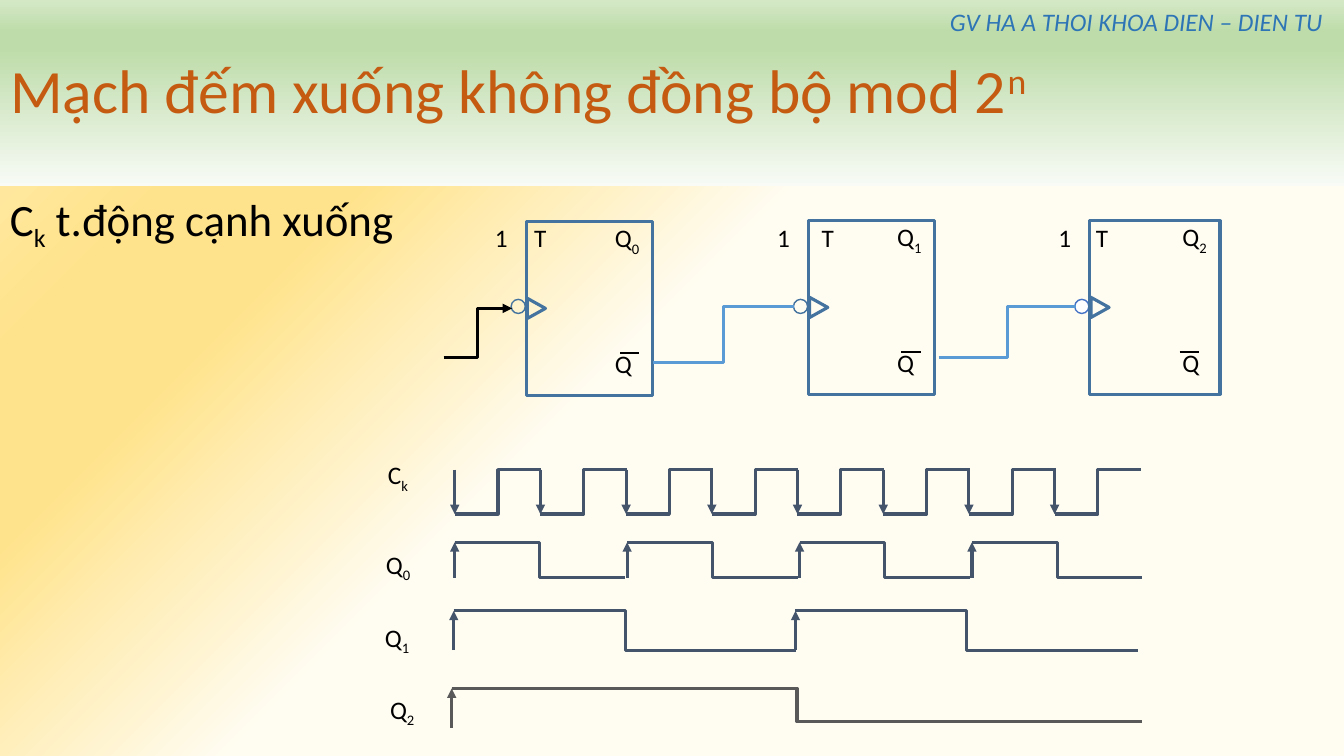
from pptx import Presentation
from pptx.dml.color import RGBColor
from pptx.enum.shapes import MSO_CONNECTOR, MSO_SHAPE
from pptx.enum.text import MSO_ANCHOR, PP_ALIGN
from pptx.oxml import parse_xml
from pptx.oxml.ns import nsdecls, qn
from pptx.util import Cm, Pt
from lxml.etree import SubElement

# Content: text parts are (text, baseline shift in percent)
HEADING = [("Mạch đếm xuống không đồng bộ mod 2", 0), ("n", 30)]
TRIGGER = [("C", 0), ("k", -25), (" t.động cạnh xuống", 0)]
AUTHOR = [("GV HA A THOI KHOA DIEN – DIEN TU", 0)]

BLACK, STEEL, SKY, SLATE, GREY = "000000", "43739E", "5B9BD5", "44546A", "595959"
TITLE_STOPS = [(0, "F8FBF6"), (74, "BEDCAA"), (83, "BEDCAA"), (100, "D4E8C6")]
PAGE_STOPS = [(53, "FFFCF2"), (74, "FFE38C"), (83, "FFE38C"), (100, "FFECB2")]

# Flip-flops: left, top, width, T label left, overbar left, bubble line, bubble fill
FLIP_FLOPS = [
    (5.22, 2.20, 1.25, 5.20, 6.15, STEEL, None),
    (8.02, 2.19, 1.25, 8.05, 8.94, STEEL, None),
    (10.81, 2.19, 1.29, 10.77, 11.70, "4472C4", "FFFFFF"),
]
# Clock wiring: from, to, colour, arrowhead
WIRES = [
    ((4.40, 3.55), (5.08, 3.06), BLACK, True),
    ((6.48, 3.60), (7.87, 3.04), SKY, False),
    ((9.31, 3.55), (10.67, 3.04), SKY, False),
]
# Waveforms: letter, index, label left and top, start, period, cycles,
# drawn width, first level, second level, arrow origin, colour
WAVES = [
    ("C", "k", 3.75, 4.51, 4.51, 0.85, 8, 0.86, 5.10, 4.66, 4.66, SLATE),
    ("Q", "0", 3.73, 5.40, 4.51, 1.71, 4, 1.69, 5.38, 5.73, 5.73, SLATE),
    ("Q", "1", 3.72, 6.12, 4.50, 3.39, 2, 3.40, 6.06, 6.45, 6.45, SLATE),
    ("Q", "2", 3.77, 6.84, 4.48, 6.85, 1, 6.85, 6.83, 7.16, 7.22, GREY),
]


def inches(*values):
    return [Cm(value * 2.54) for value in values]


def color(hex_value):
    return RGBColor.from_string(hex_value)


def gradient(fill, owner, stops, angle):
    fill.gradient()
    fill.gradient_angle = 360 - angle
    stop_list = owner.xpath(".//a:gradFill/a:gsLst")[0]
    for stop in list(stop_list):
        stop_list.remove(stop)
    for position, hex_value in stops:
        stop_list.append(parse_xml(
            f'<a:gs {nsdecls("a")} pos="{position * 1000}">'
            f'<a:srgbClr val="{hex_value}"/></a:gs>'))


def write(holder, parts, size, hex_value=BLACK, align=PP_ALIGN.LEFT, italic=None):
    holder.text_frame.word_wrap = True
    paragraph = holder.text_frame.paragraphs[0]
    paragraph.alignment = align
    font = paragraph.font
    font.name, font.size, font.italic = "Calibri", Pt(size), italic
    font.color.rgb = color(hex_value)
    for text, shift in parts:
        run = paragraph.add_run()
        run.text = text
        if shift:
            run._r.get_or_add_rPr().set("baseline", str(shift * 1000))
    return paragraph


def label(slide, left, top, parts):
    write(slide.shapes.add_textbox(*inches(left, top, 0.6, 0.4)), parts, 18)


def outline(slide, kind, box, line, width, fill=None):
    shape = slide.shapes.add_shape(kind, *inches(*box))
    shape.shadow.inherit = False
    if fill:
        shape.fill.solid()
        shape.fill.fore_color.rgb = color(fill)
    else:
        shape.fill.background()
    shape.line.color.rgb = color(line)
    shape.line.width = Pt(width)
    return shape


def connect(slide, start, end, hex_value, kind=MSO_CONNECTOR.STRAIGHT,
            arrow=False, width=2.25):
    wire = slide.shapes.add_connector(kind, *inches(*start, *end))
    wire.line.color.rgb = color(hex_value)
    wire.line.width = Pt(width)
    if arrow:
        SubElement(wire.line._get_or_add_ln(), qn("a:tailEnd"), type="triangle")
    SubElement(wire._element.spPr, qn("a:effectLst"))


def draw_flip_flop(slide, index, stage):
    left, top, width, t_left, bar_left, bubble_line, bubble_fill = stage
    outline(slide, MSO_SHAPE.OVAL, (left - 0.15, 2.97, 0.14, 0.14),
            bubble_line, 1, bubble_fill)
    outline(slide, MSO_SHAPE.RECTANGLE, (left, top, width, 1.72), STEEL, 2.25)
    clock_input = outline(slide, MSO_SHAPE.ISOSCELES_TRIANGLE,
                          (left, top + 0.77, 0.2, 0.18), STEEL, 2.25)
    clock_input.rotation = 90
    output_left = left + width - 0.47
    label(slide, left - 0.41, 2.16, [("1", 0)])
    label(slide, t_left, 2.16, [("T", 0)])
    label(slide, output_left, top - 0.04, [("Q", 0), (str(index), -25)])
    label(slide, output_left, top + 1.21, [("Q", 0)])
    bar_top = top + 1.3
    connect(slide, (bar_left, bar_top), (bar_left + 0.19, bar_top), BLACK, width=1.5)


def draw_wave(slide, wave):
    (letter, index, label_left, label_top, start, period, cycles,
     width, first, second, arrow_origin, hex_value) = wave
    label(slide, label_left, label_top, [(letter, 0), (index, -25)])
    for cycle in range(cycles):
        left = start + cycle * period
        connect(slide, (left, first), (left + width, second), hex_value,
                MSO_CONNECTOR.ELBOW)
        connect(slide, (left, arrow_origin), (left, first), hex_value, arrow=True)


def main():
    deck = Presentation()
    deck.slide_width, deck.slide_height = inches(13.33, 7.5)
    slide = deck.slides.add_slide(deck.slide_layouts[5])
    gradient(slide.background.fill, slide.background._cSld, PAGE_STOPS, 225)

    # Title band and text
    title = slide.shapes.title
    title.left, title.top, title.width, title.height = inches(0, 0, 13.33, 1.85)
    gradient(title.fill, title._element, TITLE_STOPS, 270)
    title.text_frame.vertical_anchor = MSO_ANCHOR.MIDDLE
    write(title, HEADING, 44, "C55A11").line_spacing = 0.9
    write(slide.shapes.add_textbox(*inches(0, 1.85, 5, 0.7)), TRIGGER, 32)
    write(slide.shapes.add_textbox(*inches(9.27, 0.01, 4, 0.4)), AUTHOR, 18,
          "2E75B6", PP_ALIGN.CENTER, True)

    # Counter circuit
    for index, stage in enumerate(FLIP_FLOPS):
        draw_flip_flop(slide, index, stage)
    for start, end, hex_value, arrow in WIRES:
        connect(slide, start, end, hex_value, MSO_CONNECTOR.ELBOW, arrow)

    # Timing diagram
    for wave in WAVES:
        draw_wave(slide, wave)

    deck.save("out.pptx")


if __name__ == "__main__":
    main()
